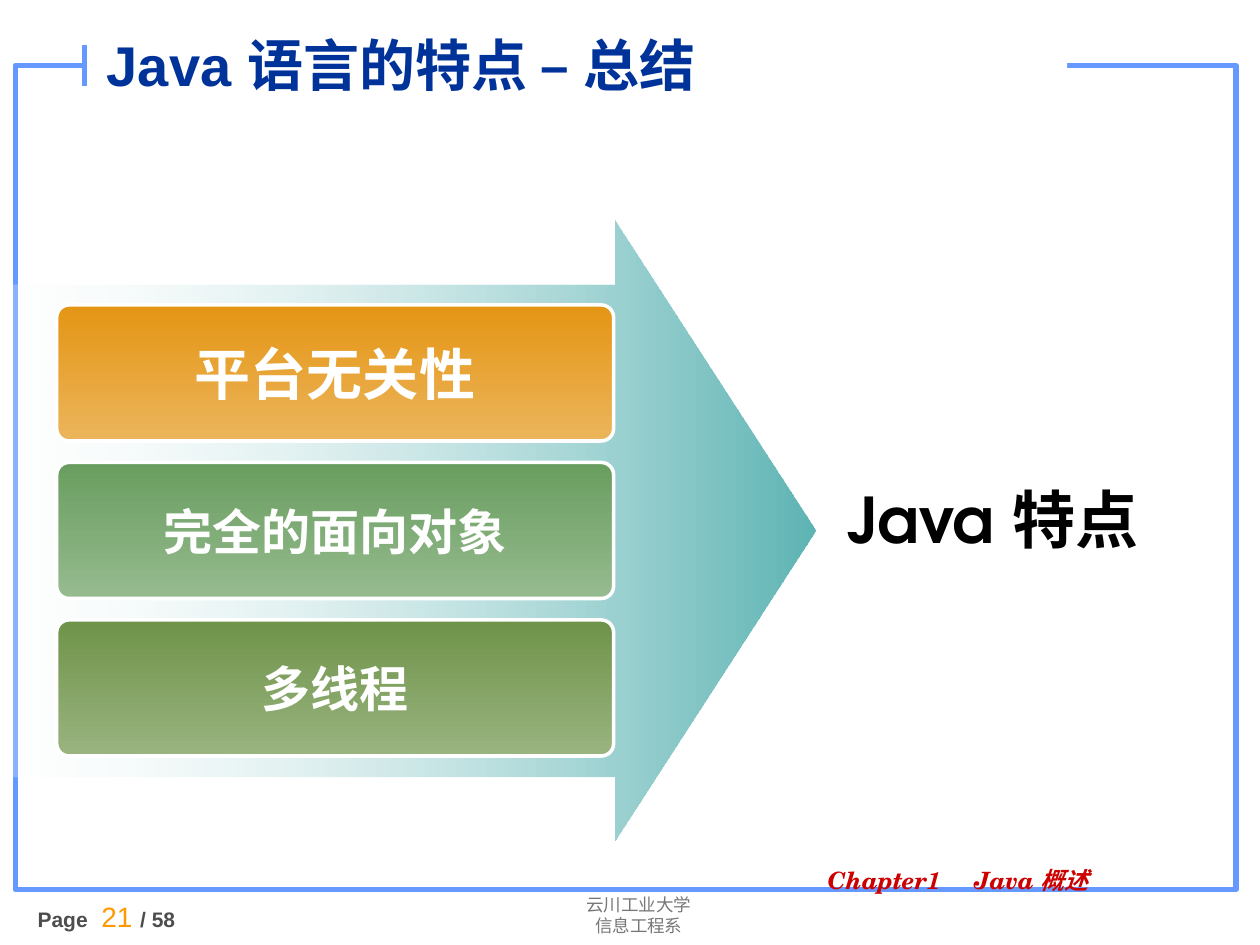
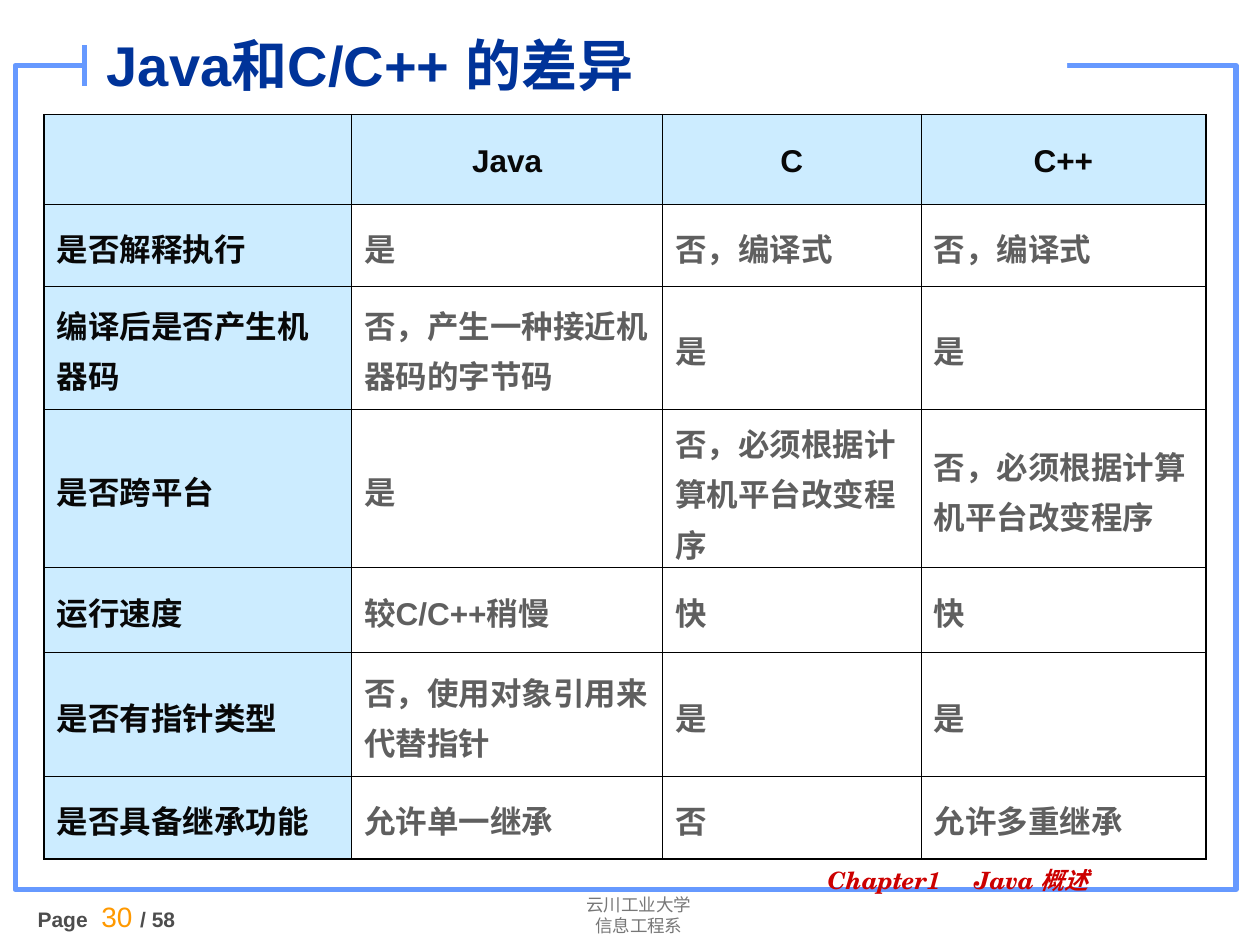
"""Build two lesson slides on Java: its features and how it differs from C and C++."""
from lxml.etree import SubElement
from pptx import Presentation
from pptx.dml.color import RGBColor
from pptx.enum.shapes import MSO_CONNECTOR as Connector, MSO_SHAPE as Preset
from pptx.enum.text import MSO_ANCHOR as Anchor, PP_ALIGN as Align
from pptx.oxml.ns import qn
from pptx.util import Inches, Pt

BLUE, NAVY, RED, ORANGE = "6699FF", "003399", "CC0000", "FF9900"
WHITE, BLACK, PALE = "FFFFFF", "000000", "CCECFF"
HEADING_INK, ANSWER_INK, PAGE_INK, SCHOOL_INK = "080808", "5F5F5F", "4D4D4D", "777777"

SCHOOL = ["云川工业大学", "信息工程系"]
CHAPTER = "Chapter1\tJava 概述"
PAGE_TOTAL = 58

FEATURES_TITLE, FEATURES_PAGE = "Java 语言的特点 – 总结", 21
FEATURES = [
    ("平台无关性", "DejaVu Sans", 32, "E49514", "ECB55B"),
    ("完全的面向对象", "TeX Gyre Adventor", 28, "699D5F", "96BB8F"),
    ("多线程", "TeX Gyre Adventor", 28, "6E9349", "9AB480"),
]
CONCLUSION = "Java 特点"
CARD_TOP, CARD_STEP = 2.42, 1.25

DIFFERENCES_TITLE, DIFFERENCES_PAGE = "Java和C/C++ 的差异", 30
DIFFERENCES = [
    ("", "Java", "C", "C++"),
    ("是否解释执行", "是", "否，编译式", "否，编译式"),
    ("编译后是否产生机器码", "否，产生一种接近机器码的字节码", "是", "是"),
    ("是否跨平台", "是", "否，必须根据计算机平台改变程序", "否，必须根据计算机平台改变程序"),
    ("运行速度", "较C/C++稍慢", "快", "快"),
    ("是否有指针类型", "否，使用对象引用来代替指针", "是", "是"),
    ("是否具备继承功能", "允许单一继承", "否", "允许多重继承"),
]
COLUMN_WIDTHS = [2.44, 2.47, 2.05, 2.26]
ROW_HEIGHTS = [0.71, 0.65, 0.98, 1.25, 0.68, 0.98, 0.66]
INNER_RULE, OUTER_RULE = 0.45, 1.08


def rgb(color):
    return RGBColor.from_string(color)


def style(font, name, size, color, bold=True, italic=False):
    font.name, font.size, font.bold, font.italic = name, Pt(size), bold, italic
    font.color.rgb = rgb(color)


def write(frame, lines, name, size, color, bold=True, italic=False,
          align=Align.LEFT, spacing=None, before=None, tab=None):
    frame.text = "\n".join(lines)
    for paragraph in frame.paragraphs:
        paragraph.alignment = align
        paragraph.line_spacing = spacing
        paragraph.space_before = None if before is None else Pt(before)
        if tab:
            stops = SubElement(paragraph._p.get_or_add_pPr(), qn("a:tabLst"))
            SubElement(stops, qn("a:tab"), pos=str(Inches(tab)), algn="l")
        style(paragraph.font, name, size, color, bold, italic)


def add_text(slide, box, anchor=Anchor.TOP):
    frame = slide.shapes.add_textbox(*map(Inches, box)).text_frame
    frame.word_wrap = True
    frame.vertical_anchor = anchor
    return frame


def add_preset(slide, preset, box, fill=None, line=None, width=0, adjust=()):
    shape = slide.shapes.add_shape(preset, *map(Inches, box))
    shape.shadow.inherit = False
    for index, value in enumerate(adjust):
        shape.adjustments[index] = value
    if fill:
        shape.fill.solid()
        shape.fill.fore_color.rgb = rgb(fill)
    else:
        shape.fill.background()
    if line:
        shape.line.color.rgb = rgb(line)
        shape.line.width = Pt(width)
    else:
        shape.line.fill.background()
    return shape


def shade(shape, colors, angle):
    shape.fill.gradient()
    shape.fill.gradient_angle = angle
    for stop, color in zip(shape.fill.gradient_stops, colors):
        stop.color.rgb = rgb(color)


def add_page(deck, title, number):
    slide = deck.slides.add_slide(deck.slide_layouts[6])
    add_preset(slide, Preset.RECTANGLE, (0.12, 0.52, 9.69, 6.54), line=BLUE, width=3)
    add_preset(slide, Preset.RECTANGLE, (0.67, 0.28, 7.8, 0.35), fill=WHITE)
    write(add_text(slide, (3.8, 7.05, 2.54, 0.44)), SCHOOL, "Roboto", 10, SCHOOL_INK,
          bold=False, align=Align.CENTER)

    footer = add_text(slide, (0.2, 7.09, 1.81, 0.6)).paragraphs[0]
    footer.space_before = Pt(7.5)
    for text, size, color, bold in [("Page ", 12, PAGE_INK, True),
                                    (f" {number} ", 16, ORANGE, False),
                                    (f"/ {PAGE_TOTAL}", 12, PAGE_INK, True)]:
        run = footer.add_run()
        run.text = text
        style(run.font, "Arial", size, color, bold)

    tick = slide.shapes.add_connector(
        Connector.STRAIGHT, *map(Inches, (0.67, 0.36, 0.67, 0.68)))
    tick.line.color.rgb = rgb(BLUE)
    tick.line.width = Pt(3)
    SubElement(tick._element.spPr, qn("a:effectLst"))

    write(add_text(slide, (6.47, 6.85, 2.79, 0.35)), [CHAPTER], "TeX Gyre Schola", 13.6, RED,
          italic=True, spacing=0.9, tab=1.16)
    write(add_text(slide, (0.75, 0.11, 6.77, 0.8), Anchor.MIDDLE), [title], "Arial", 32, NAVY)
    return slide


def add_features(deck):
    slide = add_page(deck, FEATURES_TITLE, FEATURES_PAGE)
    arrow = add_preset(slide, Preset.RIGHT_ARROW, (0.04, 1.75, 6.43, 4.92), adjust=(0.793, 0.324))
    shade(arrow, (WHITE, "5EB4B4"), 0)
    tail_color = next(arrow._element.spPr.iter(qn("a:srgbClr")))
    SubElement(tail_color, qn("a:alpha"), val="24000")

    for index, (feature, font, size, *colors) in enumerate(FEATURES):
        card = add_preset(slide, Preset.ROUNDED_RECTANGLE,
                          (0.45, CARD_TOP + index * CARD_STEP, 4.42, 1.08),
                          line=WHITE, width=2, adjust=(0.091,))
        shade(card, colors, 270)
        card.text_frame.word_wrap = False
        write(card.text_frame, [feature], font, size, WHITE, align=Align.CENTER)

    conclusion = add_preset(slide, Preset.ROUNDED_RECTANGLE, (6.59, 3.44, 2.76, 1.42),
                            adjust=(0.091,))
    write(conclusion.text_frame, [CONCLUSION], "TeX Gyre Adventor", 36, BLACK,
          spacing=0.9, before=9)


def add_borders(cell, outer_edges):
    for side, is_outer in outer_edges.items():
        width = Pt(OUTER_RULE if is_outer else INNER_RULE)
        rule = SubElement(cell._tc.get_or_add_tcPr(), qn(f"a:ln{side}"), w=str(width))
        SubElement(SubElement(rule, qn("a:solidFill")), qn("a:srgbClr"), val=BLACK)


def add_differences(deck):
    slide = add_page(deck, DIFFERENCES_TITLE, DIFFERENCES_PAGE)
    last_row, last_column = len(ROW_HEIGHTS) - 1, len(COLUMN_WIDTHS) - 1
    box = (0.35, 0.91, sum(COLUMN_WIDTHS), sum(ROW_HEIGHTS))
    table = slide.shapes.add_table(last_row + 1, last_column + 1, *map(Inches, box)).table
    table.first_row = table.horz_banding = False
    for column, width in zip(table.columns, COLUMN_WIDTHS):
        column.width = Inches(width)
    for row, height in zip(table.rows, ROW_HEIGHTS):
        row.height = Inches(height)

    for r, answers in enumerate(DIFFERENCES):
        for c, answer in enumerate(answers):
            cell = table.cell(r, c)
            is_heading = r == 0 or c == 0
            cell.vertical_anchor = Anchor.MIDDLE
            add_borders(cell, {"L": c == 0, "R": c == last_column,
                               "T": r == 0, "B": r == last_row})
            if is_heading:
                cell.fill.solid()
                cell.fill.fore_color.rgb = rgb(PALE)
            else:
                cell.fill.background()
            write(cell.text_frame, [answer], "Arial", 18,
                  HEADING_INK if is_heading else ANSWER_INK,
                  align=Align.LEFT if r else Align.CENTER, spacing=1.1, before=4.5)


def main():
    deck = Presentation()
    deck.slide_width, deck.slide_height = Inches(10), Inches(7.5)
    add_features(deck)
    add_differences(deck)
    deck.save("out.pptx")


if __name__ == "__main__":
    main()
